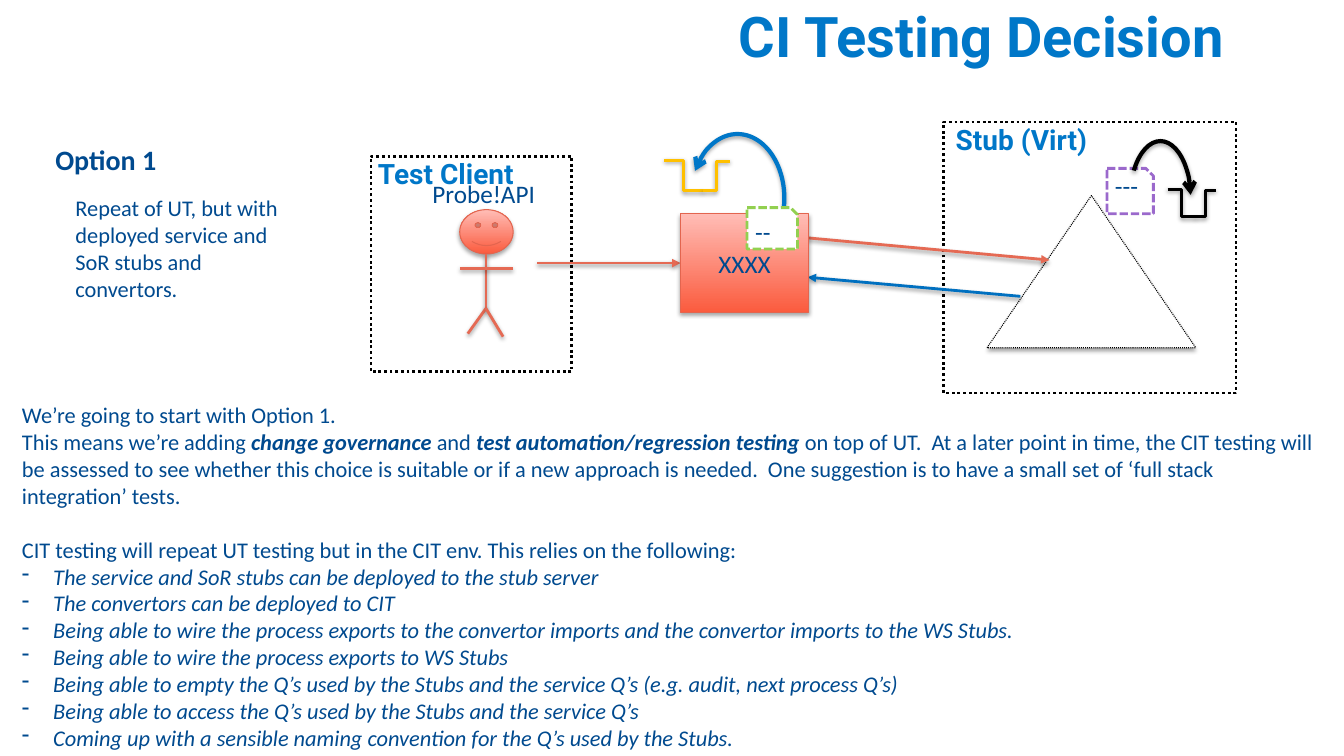
import dataclasses

import lxml.etree
import pptx
import pptx.dml.color
import pptx.enum.dml
import pptx.enum.shapes
import pptx.enum.text
import pptx.oxml.ns
import pptx.util

SHAPE = pptx.enum.shapes.MSO_SHAPE
CONNECTOR = pptx.enum.shapes.MSO_CONNECTOR
DOTTED = pptx.enum.dml.MSO_LINE.ROUND_DOT
DASHED = pptx.enum.dml.MSO_LINE.SQUARE_DOT
WIDTH, HEIGHT = pptx.util.Inches(13.33), pptx.util.Inches(7.5)
COLUMNS, ROWS = 133.3, 75


@dataclasses.dataclass(frozen=True)
class Theme:
    heading_font: str = "Roboto"
    body_font: str = "Calibri"
    title_size: int = 40
    heading_size: int = 20
    label_size: int = 18
    body_size: int = 16
    heading: str = "0077C8"
    ink: str = "004A8F"
    black: str = "000000"
    white: str = "FFFFFF"
    request: str = "E56A54"
    response: str = "0070C0"
    queue: str = "FFC000"
    service_note: str = "92D050"
    stub_note: str = "9B69CC"
    edge: str = "E3654F"
    gradient: tuple = ("FB5B3E", "FFBDB6")


THEME = Theme()
TITLE = dict(name=THEME.heading_font, size=THEME.title_size, bold=True, color=THEME.heading)
HEADING = {**TITLE, "size": THEME.heading_size}
LABEL = dict(name=THEME.body_font, size=THEME.label_size, color=THEME.ink)
BODY = {**LABEL, "size": THEME.body_size}
OPTION = {**LABEL, "size": THEME.heading_size, "bold": True}
STRONG = {**BODY, "bold": True, "italic": True}
LIST_ITEM = {**BODY, "italic": True}

REQUIREMENTS = (
    "The service and SoR stubs can be deployed to the stub server",
    "The convertors can be deployed to CIT",
    "Being able to wire the process exports to the convertor imports and the convertor imports to the WS Stubs.",
    "Being able to wire the process exports to WS Stubs",
    "Being able to empty the Q’s used by the Stubs and the service Q’s (e.g. audit, next process Q’s)",
    "Being able to access the Q’s used by the Stubs and the service Q’s",
    "Coming up with a sensible naming convention for the Q’s used by the Stubs.",
)


def across(columns):
    return round(WIDTH * columns / COLUMNS)


def down(rows):
    return round(HEIGHT * rows / ROWS)


def place(left, top, width, height):
    return across(left), down(top), across(width), down(height)


def rgb(value):
    return pptx.dml.color.RGBColor.from_string(value)


def add_xml(parent, tag, **attributes):
    return lxml.etree.SubElement(parent, pptx.oxml.ns.qn(tag), attributes)


def set_format(target, values):
    for name, value in values.items():
        if name == "color":
            target.color.rgb = rgb(value)
        else:
            setattr(target, name, pptx.util.Pt(value) if name == "size" else value)


def set_line(item, color, width, dash=None, head=None):
    item.line.color.rgb = rgb(color)
    item.line.width = pptx.util.Pt(width)
    if dash is not None:
        item.line.dash_style = dash
    if head:
        add_xml(item.line._get_or_add_ln(), "a:tailEnd", type=head)


def set_shadow(effects, alpha, distance):
    shadow = add_xml(effects, "a:outerShdw", blurRad=str(pptx.util.Pt(3.1)),
                     dist=str(pptx.util.Pt(distance)), dir="5400000", rotWithShape="0")
    color = add_xml(shadow, "a:srgbClr", val=THEME.black)
    add_xml(color, "a:alpha", val=str(alpha * 1000))


def add_span(para, text, style):
    span = para.add_run()
    span.text = text
    set_format(span.font, style)


def add_label(page, area, text, style, wrap=True):
    box = page.shapes.add_textbox(*place(*area))
    box.text_frame.word_wrap = wrap
    if text:
        add_span(box.text_frame.paragraphs[0], text, style)
    return box


def add_figure(page, kind, area, color, width, dash=None, fill=None, shadow=False, head=None):
    figure = page.shapes.add_shape(kind, *place(*area))
    figure.shadow.inherit = False
    if fill is None:
        figure.fill.background()
    elif isinstance(fill, tuple):
        figure.fill.gradient()
        figure.fill.gradient_angle = 90
        for stop, value in zip(figure.fill.gradient_stops, fill):
            stop.color.rgb = rgb(value)
    else:
        figure.fill.solid()
        figure.fill.fore_color.rgb = rgb(fill)
    set_line(figure, color, width, dash, head)
    if shadow:
        set_shadow(figure._element.spPr.find(pptx.oxml.ns.qn("a:effectLst")), 35, 1.8)
    return figure


def add_link(page, start, end, color, head=None, kind=CONNECTOR.STRAIGHT):
    ends = [across(start[0]), down(start[1]), across(end[0]), down(end[1])]
    link = page.shapes.add_connector(kind, *ends)
    set_line(link, color, 2, head=head)
    set_shadow(add_xml(link._element.spPr, "a:effectLst"), 38, 1.6)


def add_queue(page, left, right, bottom, color):
    for start in (left, right):
        add_link(page, start, bottom, color, kind=CONNECTOR.ELBOW)


def add_loop(page, area, angles, color, mirrored=False):
    loop = add_figure(page, SHAPE.ARC, area, color, 3, shadow=True, head="arrow")
    for index, angle in enumerate(angles):
        loop.adjustments[index] = angle
    if mirrored:
        loop._element.spPr.find(pptx.oxml.ns.qn("a:xfrm")).set("flipH", "1")


def add_note(page, area, color, text, text_area):
    add_figure(page, SHAPE.SNIP_1_RECTANGLE, area, color, 2, DASHED, THEME.white)
    add_label(page, text_area, text, LABEL)


def add_stub(page):
    add_figure(page, SHAPE.RECTANGLE, (93.6, 12.1, 29, 26.9), THEME.black, 2, DOTTED, THEME.white)
    add_figure(page, SHAPE.ISOSCELES_TRIANGLE, (97.9, 19.4, 20.7, 15.1), THEME.black, 0.75,
               DOTTED, THEME.white, shadow=True)
    add_label(page, (93.8, 11.7, 15.8, 4.4), "Stub (Virt)", HEADING)
    add_queue(page, (115.8, 18.8), (120.6, 18.9), (118.6, 21.5), THEME.black)
    add_note(page, (109.8, 16.7, 4.6, 4.5), THEME.stub_note, "---", (109.6, 16.4, 4.3, 4))
    add_loop(page, (112.1, 14, 6, 11.2), (135.26, 212.95), THEME.black)


def add_client(page):
    add_figure(page, SHAPE.RECTANGLE, (36.8, 15.5, 19.9, 21.4), THEME.black, 2, DOTTED, THEME.white)
    add_figure(page, SHAPE.SMILEY_FACE, (45.6, 20.8, 5.3, 4.4), THEME.edge, 0.75,
               fill=THEME.gradient, shadow=True)
    add_label(page, (41.9, 17.2, 12.5, 7.1), "Probe!API", LABEL, wrap=False)
    hip = (48.2, 30.6)
    limbs = (((48.2, 25.2), hip), ((45.6, 26.6), (50.9, 26.6)),
             (hip, (46.4, 33.1)), (hip, (49.9, 33.4)))
    for start, end in limbs:
        add_link(page, start, end, THEME.request)
    add_label(page, (36.5, 15, 15.8, 4.4), "Test Client", HEADING)


def add_service(page):
    service = add_figure(page, SHAPE.RECTANGLE, (67.5, 21.2, 12.7, 9.8), THEME.edge, 0.75,
                         fill=THEME.gradient, shadow=True)
    service.text_frame.vertical_anchor = pptx.enum.text.MSO_ANCHOR.MIDDLE
    para = service.text_frame.paragraphs[0]
    para.alignment = pptx.enum.text.PP_ALIGN.CENTER
    add_span(para, "XXXX", LABEL)
    add_loop(page, (68.5, 13.3, 9.3, 12.7), (92.77, 196.42), THEME.heading, mirrored=True)
    add_queue(page, (65.9, 15.9), (72.4, 16), (69.7, 18.9), THEME.queue)
    add_note(page, (74.1, 20.6, 5, 4.1), THEME.service_note, "--", (73.9, 21, 4.5, 4))


def add_decision(page):
    frame = add_label(page, (1.2, 39.3, 130.6, 36), "We’re going to start with Option 1.", BODY).text_frame
    meaning = (
        ("This means we’re adding ", BODY),
        ("change governance", STRONG),
        (" and ", BODY),
        ("test automation/regression testing", STRONG),
        (" on top of UT.  At a later point in time, the CIT testing will be assessed to see whether "
         "this choice is suitable or if a new approach is needed.  One suggestion is to have a small "
         "set of ‘full stack integration’ tests.", BODY),
    )
    para = frame.add_paragraph()
    for text, style in meaning:
        add_span(para, text, style)
    para = frame.add_paragraph()
    para.space_before = pptx.util.Pt(19.5)
    add_span(para, "CIT testing will repeat UT testing but in the CIT env. This relies on the following:", BODY)
    for requirement in REQUIREMENTS:
        para = frame.add_paragraph()
        props = para._p.get_or_add_pPr()
        props.set("marL", str(across(3.1)))
        props.set("indent", str(-across(3.1)))
        add_xml(props, "a:buChar", char="-")
        add_span(para, requirement, LIST_ITEM)


def main():
    deck = pptx.Presentation()
    set_format(deck, dict(slide_width=WIDTH, slide_height=HEIGHT))
    page = deck.slides.add_slide(deck.slide_layouts[6])
    add_label(page, (72.3, -0.3, 68.5, 7.7), "CI Testing Decision", TITLE)
    add_stub(page)
    add_link(page, (80.1, 23.6), (104.1, 25.8), THEME.request, "triangle")
    add_link(page, (101.2, 29.4), (80.1, 27.5), THEME.response, "triangle")
    add_client(page)
    add_link(page, (53.3, 26.1), (67.5, 26.1), THEME.request, "triangle")
    add_service(page)
    add_label(page, (4.5, 13.6, 12.1, 4.4), "Option 1", OPTION, wrap=False)
    add_label(page, (6.5, 18.8, 22.1, 11.8),
              "Repeat of UT, but with deployed service and SoR stubs and convertors.", BODY)
    add_decision(page)
    deck.save("out.pptx")


if __name__ == "__main__":
    main()
